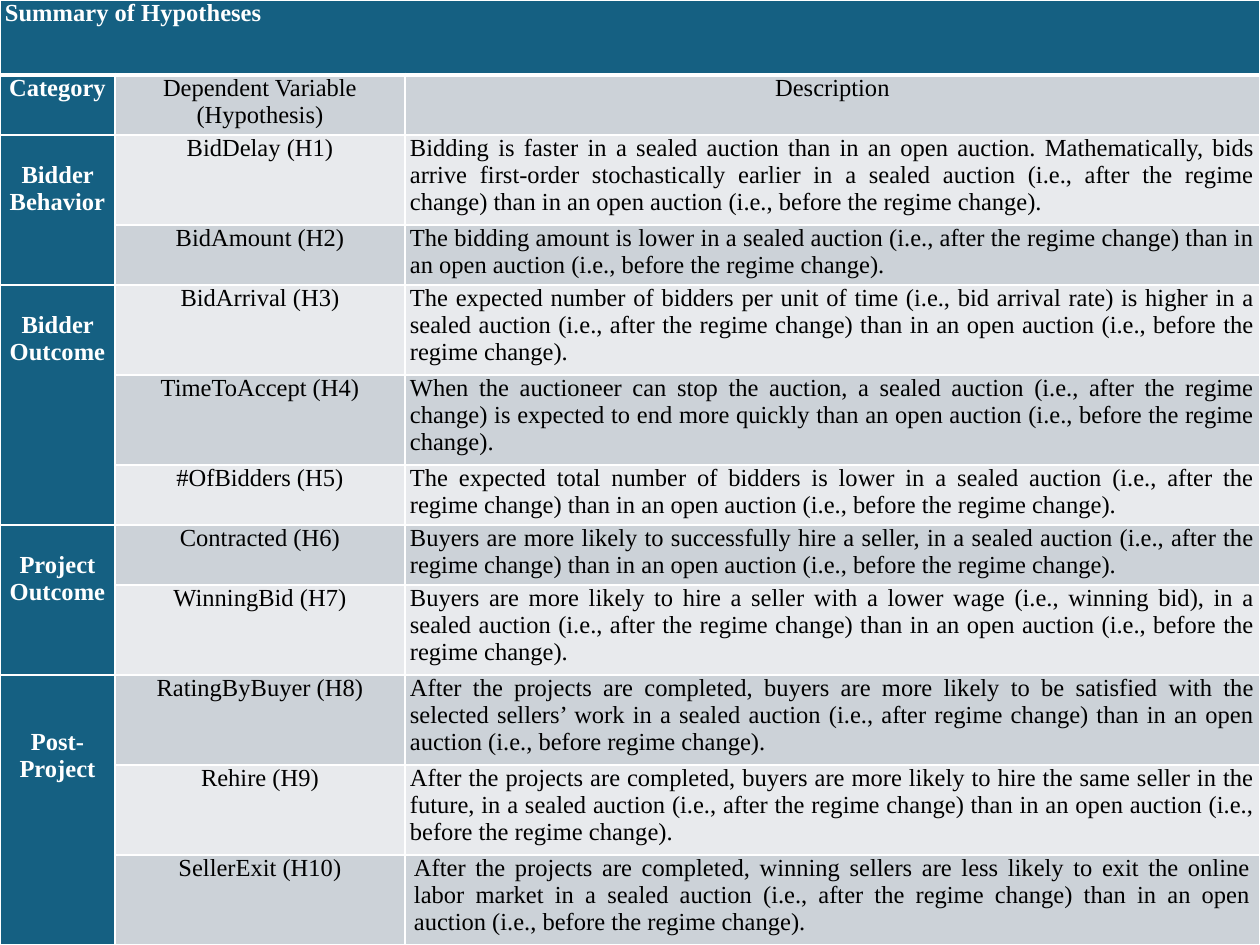
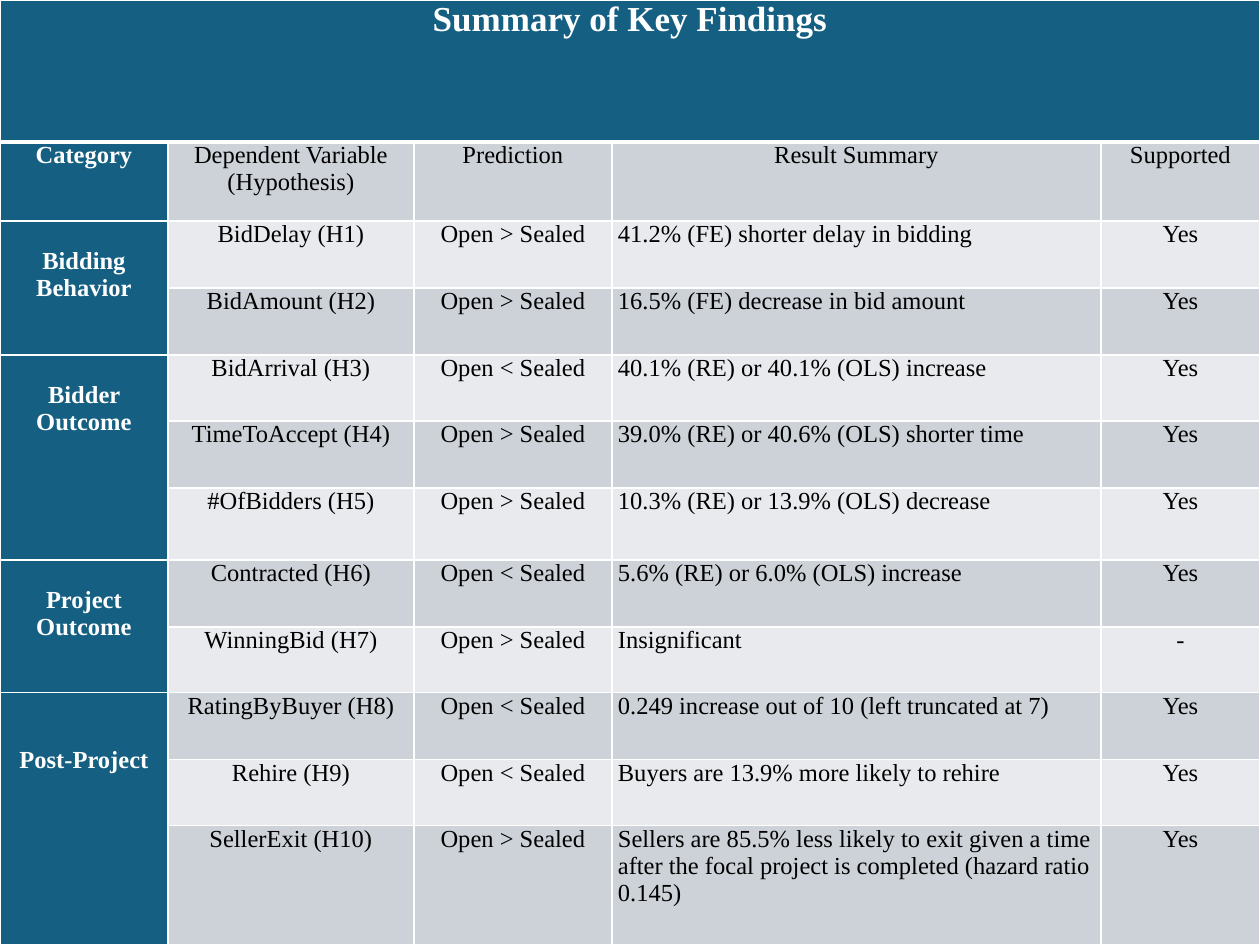
from dataclasses import dataclass

import pptx
import pptx.dml.color
import pptx.enum.text
import pptx.oxml
import pptx.oxml.ns
import pptx.util

ALIGN = pptx.enum.text.PP_ALIGN
LEFT, MID, FULL = ALIGN.LEFT, ALIGN.CENTER, ALIGN.JUSTIFY
WIDE, HIGH = 1260, 945


@dataclass(frozen=True)
class Theme:
    font: str = "Times New Roman"
    blue: str = "156082"
    dark: str = "CCD2D8"
    light: str = "E8EAED"
    white: str = "FFFFFF"
    black: str = "000000"
    body: int = 14
    large: int = 20
    line: int = 27  # height of one body line, px
    thin: int = 1
    thick: int = 3


@dataclass(frozen=True)
class Group:
    label: str
    count: int
    drop: int = 1  # body lines left free above the label


@dataclass(frozen=True)
class Page:
    title: str
    size: int
    align: ALIGN
    pad: int
    cols: list[int]
    rows: list[int]
    heads: list[str]
    aligns: list[ALIGN]
    groups: list[Group]
    facts: list[tuple[str, ...]]


THEME = Theme()

NAMES = ["BidDelay", "BidAmount", "BidArrival", "TimeToAccept", "#OfBidders",
         "Contracted", "WinningBid", "RatingByBuyer", "Rehire", "SellerExit"]

LATER = [Group("Bidder Outcome", 3), Group("Project\nOutcome", 2),
         Group("Post-Project", 3, drop=2)]

THEORY = Page(
    title="Summary of Hypotheses", size=THEME.body, align=LEFT, pad=5,
    cols=[115, 290, 855],
    rows=[75, 60, 90, 60, 90, 90, 60, 60, 90, 90, 90, 90],
    heads=["Category", "Dependent Variable (Hypothesis)", "Description"],
    aligns=[MID, FULL],
    groups=[Group("Bidder Behavior", 2), *LATER],
    facts=[
        ("Bidding is faster in a sealed auction than in an open auction. "
         "Mathematically, bids arrive first-order stochastically earlier in a "
         "sealed auction (i.e., after the regime change) than in an open "
         "auction (i.e., before the regime change).",),
        ("The bidding amount is lower in a sealed auction (i.e., after the "
         "regime change) than in an open auction (i.e., before the regime "
         "change).",),
        ("The expected number of bidders per unit of time (i.e., bid arrival "
         "rate) is higher in a sealed auction (i.e., after the regime change) "
         "than in an open auction (i.e., before the regime change).",),
        ("When the auctioneer can stop the auction, a sealed auction (i.e., "
         "after the regime change) is expected to end more quickly than an "
         "open auction (i.e., before the regime change).",),
        ("The expected total number of bidders is lower in a sealed auction "
         "(i.e., after the regime change) than in an open auction (i.e., "
         "before the regime change).",),
        ("Buyers are more likely to successfully hire a seller, in a sealed "
         "auction (i.e., after the regime change) than in an open auction "
         "(i.e., before the regime change).",),
        ("Buyers are more likely to hire a seller with a lower wage (i.e., "
         "winning bid), in a sealed auction (i.e., after the regime change) "
         "than in an open auction (i.e., before the regime change).",),
        ("After the projects are completed, buyers are more likely to be "
         "satisfied with the selected sellers’ work in a sealed auction "
         "(i.e., after regime change) than in an open auction (i.e., before "
         "regime change).",),
        ("After the projects are completed, buyers are more likely to hire "
         "the same seller in the future, in a sealed auction (i.e., after the "
         "regime change) than in an open auction (i.e., before the regime "
         "change).",),
        ("After the projects are completed, winning sellers are less likely "
         "to exit the online labor market in a sealed auction (i.e., after "
         "the regime change) than in an open auction (i.e., before the regime "
         "change).",),
    ])

MORE, LESS = "Open > Sealed", "Open < Sealed"

RESULTS = Page(
    title="Summary of Key Findings", size=THEME.large, align=MID, pad=6,
    cols=[168, 246, 198, 489, 159],
    rows=[142, 79, 67, 67, 66, 67, 72, 67, 66, 67, 66, 119],
    heads=["Category", "Dependent Variable (Hypothesis)", "Prediction",
           "Result Summary", "Supported"],
    aligns=[MID, MID, LEFT, MID],
    groups=[Group("Bidding Behavior", 2), *LATER],
    facts=[
        (MORE, "41.2% (FE) shorter delay in bidding", "Yes"),
        (MORE, "16.5% (FE) decrease in bid amount", "Yes"),
        (LESS, "40.1% (RE) or 40.1% (OLS) increase", "Yes"),
        (MORE, "39.0% (RE) or 40.6% (OLS) shorter time", "Yes"),
        (MORE, "10.3% (RE) or 13.9% (OLS) decrease", "Yes"),
        (LESS, "5.6% (RE) or 6.0% (OLS) increase", "Yes"),
        (MORE, "Insignificant", "-"),
        (LESS, "0.249 increase out of 10 (left truncated at 7)", "Yes"),
        (LESS, "Buyers are 13.9% more likely to rehire", "Yes"),
        (MORE, "Sellers are 85.5% less likely to exit given a time after the "
               "focal project is completed (hazard ratio 0.145)", "Yes"),
    ])


def px(count: int) -> pptx.util.Emu:
    return pptx.util.Emu(round(count * 914400 / 126))


def rgb(code: str) -> pptx.dml.color.RGBColor:
    return pptx.dml.color.RGBColor.from_string(code)


def put(cell, text: str, *, fill: str, pad: int, align: ALIGN = MID,
        color: str = THEME.black, bold: bool = False,
        size: int = THEME.body, top: int = 0) -> None:
    """Fill a cell with formatted text, one paragraph per line."""
    cell.margin_left = cell.margin_right = px(pad)
    cell.margin_top, cell.margin_bottom = px(top), 0
    cell.fill.solid()
    cell.fill.fore_color.rgb = rgb(fill)
    cell.text_frame.text = text
    for para in cell.text_frame.paragraphs:
        para.alignment = align
        for font in (para.font, para.runs[0].font):
            font.name, font.size = THEME.font, pptx.util.Pt(size)
            font.bold = bold
            font.color.rgb = rgb(color)


def edge(cell, row: int) -> None:
    """Draw white borders, with a heavy rule under the title row."""
    props = cell._tc.get_or_add_tcPr()
    heavy = {(0, "B"), (1, "T")}
    for side in "LRTB":
        width = THEME.thick if (row, side) in heavy else THEME.thin
        props.append(pptx.oxml.parse_xml(
            f'<a:ln{side} {pptx.oxml.ns.nsdecls("a")} '
            f'w="{pptx.util.Pt(width)}"><a:solidFill>'
            f'<a:srgbClr val="{THEME.white}"/></a:solidFill></a:ln{side}>'))


def grid(slide, page: Page):
    """Add the empty table with its sizes and borders."""
    table = slide.shapes.add_table(len(page.rows), len(page.cols), 0, 0,
                                   px(WIDE), px(HIGH)).table
    table.first_row = table.horz_banding = False
    for col, width in zip(table.columns, page.cols):
        col.width = px(width)
    for num, (row, height) in enumerate(zip(table.rows, page.rows)):
        row.height = px(height)
        for cell in row.cells:
            edge(cell, num)
    return table


def draw(slide, page: Page) -> None:
    table = grid(slide, page)
    label = dict(fill=THEME.blue, color=THEME.white, bold=True, pad=page.pad)

    title = table.cell(0, 0)
    title.merge(table.cell(0, len(page.cols) - 1))
    put(title, page.title, align=page.align, size=page.size, **label)

    put(table.cell(1, 0), page.heads[0], **label)
    for col, head in enumerate(page.heads[1:], 1):
        put(table.cell(1, col), head, fill=THEME.dark, pad=page.pad)

    first = 2
    for group in page.groups:
        cell = table.cell(first, 0)
        cell.merge(table.cell(first + group.count - 1, 0))
        put(cell, group.label, top=group.drop * THEME.line, **label)
        first += group.count

    for num, (name, facts) in enumerate(zip(NAMES, page.facts), 1):
        fill = THEME.light if num % 2 else THEME.dark
        texts = (f"{name} (H{num})", *facts)
        for col, (text, align) in enumerate(zip(texts, page.aligns), 1):
            last = num == len(NAMES) and align == FULL
            put(table.cell(num + 1, col), text, fill=fill, align=align,
                pad=9 if last else page.pad)


def main() -> None:
    deck = pptx.Presentation()
    deck.slide_width, deck.slide_height = px(WIDE), px(HIGH)
    for page in (THEORY, RESULTS):
        draw(deck.slides.add_slide(deck.slide_layouts[6]), page)
    deck.save("out.pptx")


if __name__ == "__main__":
    main()
